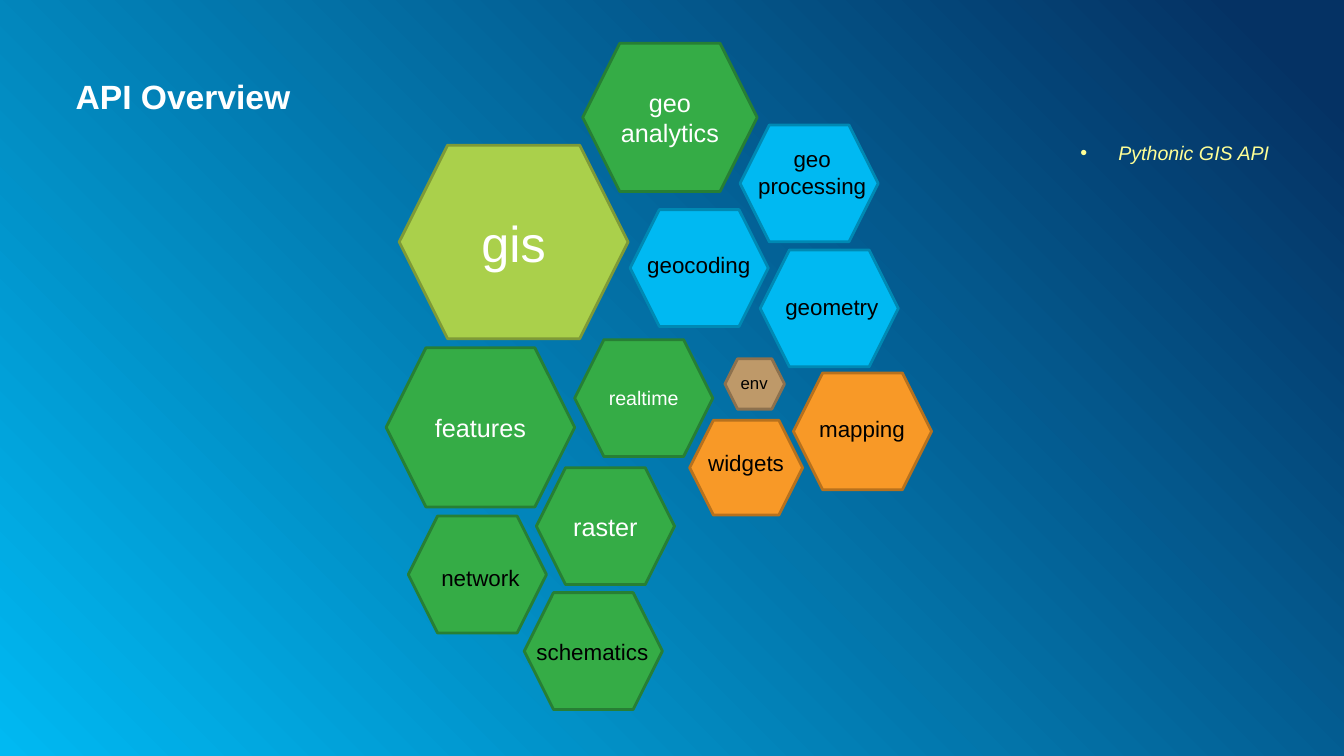
"""Build the API Overview slide: a honeycomb of GIS modules."""
from lxml import etree
from pptx import Presentation
from pptx.dml.color import RGBColor
from pptx.enum.shapes import MSO_SHAPE
from pptx.enum.text import MSO_ANCHOR, MSO_AUTO_SIZE, PP_ALIGN
from pptx.oxml.ns import qn
from pptx.util import Inches, Pt

HEXAGON = MSO_SHAPE.HEXAGON
TOP, MIDDLE, BOTTOM = MSO_ANCHOR.TOP, MSO_ANCHOR.MIDDLE, MSO_ANCHOR.BOTTOM
LEFT, CENTER, RIGHT = PP_ALIGN.LEFT, PP_ALIGN.CENTER, PP_ALIGN.RIGHT
NO_FIT = MSO_AUTO_SIZE.NONE

WHITE = RGBColor(0xFF, 0xFF, 0xFF)
BLACK = RGBColor(0x00, 0x00, 0x00)
PALE_YELLOW = RGBColor(0xFF, 0xFF, 0x96)
SKY = RGBColor(0x00, 0xB9, 0xF2)
NAVY = RGBColor(0x05, 0x32, 0x64)
LIME = (RGBColor(0xAA, 0xD0, 0x4B), RGBColor(0x7E, 0x9A, 0x37))
GREEN = (RGBColor(0x35, 0xAC, 0x46), RGBColor(0x27, 0x7F, 0x34))
BLUE = (SKY, RGBColor(0x00, 0x89, 0xB3))
ORANGE = (RGBColor(0xF8, 0x99, 0x27), RGBColor(0xB7, 0x71, 0x1D))
TAN = (RGBColor(0xBE, 0x99, 0x69), RGBColor(0x8D, 0x71, 0x4E))

REGULAR = (1.37, 1.16)


def add_hexagon(x, y, size, colors):
    sp = s.shapes.add_shape(HEXAGON, Inches(x), Inches(y), *map(Inches, size))
    sp.shadow.inherit = False
    sp.fill.solid()
    sp.fill.fore_color.rgb, sp.line.color.rgb = colors
    sp.line.width = Pt(2)
    return sp


def write(sp, text, size, color, align, anchor):
    tf = sp.text_frame
    tf.text = text
    tf.vertical_anchor = anchor
    tf.auto_size = NO_FIT
    for p in tf.paragraphs:
        p.alignment = align
        p.space_before = Pt(0)
        for r in p.runs:
            r.font.name = "Arial"
            r.font.size = Pt(size)
            r.font.color.rgb = color
    return tf


prs = Presentation()
prs.slide_width, prs.slide_height = Inches(13.33), Inches(7.5)
s = prs.slides.add_slide(prs.slide_layouts[1])

fill = s.background.fill
fill.gradient()
for stop, color, position in zip(fill.gradient_stops, (SKY, NAVY), (0, 0.95)):
    stop.color.rgb = color
    stop.position = position
lin = s.element.find(".//" + qn("a:lin"))
radial = etree.Element(qn("a:path"), path="circle")
etree.SubElement(radial, qn("a:fillToRect"), t="100000", r="100000")
lin.getparent().replace(lin, radial)

main_modules = [
    ("gis", 3.96, 1.44, (2.27, 1.92), LIME, 36),
    ("features", 3.83, 3.45, (1.87, 1.58), GREEN, 18),
    ("raster", 5.32, 4.64, REGULAR, GREEN, 18),
    ("geo\nanalytics", 5.78, 0.43, (1.73, 1.47), GREEN, 18),
    ("realtime", 5.7, 3.37, REGULAR, GREEN, 14),
]
for text, x, y, size, colors, points in main_modules:
    sp = add_hexagon(x, y, size, colors)
    tf = write(sp, text, points, WHITE, CENTER, MIDDLE)
    tf.word_wrap = False

labelled_modules = [
    ("geocoding", 6.25, 2.08, REGULAR, BLUE, 16, (6.32, 2.44, 1.22, 0.42)),
    ("geometry", 7.54, 2.48, REGULAR, BLUE, 16, (7.69, 2.86, 1.12, 0.42)),
    ("network", 4.05, 5.12, REGULAR, GREEN, 16, (4.16, 5.55, 1.21, 0.37)),
    ("schematics", 5.2, 5.88, REGULAR, GREEN, 16, (5.17, 6.28, 1.41, 0.37)),
    ("widgets", 6.84, 4.17, (1.12, 0.94), ORANGE, 16, (6.93, 4.41, 0.94, 0.42)),
    ("mapping", 7.87, 3.7, REGULAR, ORANGE, 16, (7.97, 4.07, 1.16, 0.37)),
    ("env", 7.19, 3.56, (0.59, 0.5), TAN, 12, (7.22, 3.65, 0.52, 0.3)),
    ("geo\nprocessing", 7.34, 1.24, REGULAR, BLUE, 16, (7.42, 1.39, 1.27, 0.64)),
]
for text, x, y, size, colors, points, box in labelled_modules:
    add_hexagon(x, y, size, colors)
    label = s.shapes.add_textbox(*map(Inches, box))
    tf = write(label, text, points, BLACK, CENTER, TOP)
    tf.word_wrap = False

title, body = s.shapes.title, s.placeholders[1]
pPr = body.text_frame.paragraphs[0]._p.get_or_add_pPr()
pPr.set("marL", "0")
pPr.set("indent", "0")
etree.SubElement(pPr, qn("a:buNone"))
headings = [
    (title, "API Overview", 0.75, 0.54, 24, WHITE, LEFT, TOP),
    (body, "Pythonic GIS API", 1.33, 0.3, 14, PALE_YELLOW, RIGHT, BOTTOM),
]
for sp, text, y, height, points, color, align, anchor in headings:
    sp.left, sp.top = Inches(0.75), Inches(y)
    sp.width, sp.height = Inches(11.84), Inches(height)
    tf = write(sp, text, points, color, align, anchor)
    tf.margin_left = tf.margin_top = tf.margin_right = tf.margin_bottom = 0
title.text_frame.paragraphs[0].runs[0].font.bold = True
body.text_frame.paragraphs[0].runs[0].font.italic = True

prs.save("out.pptx")
